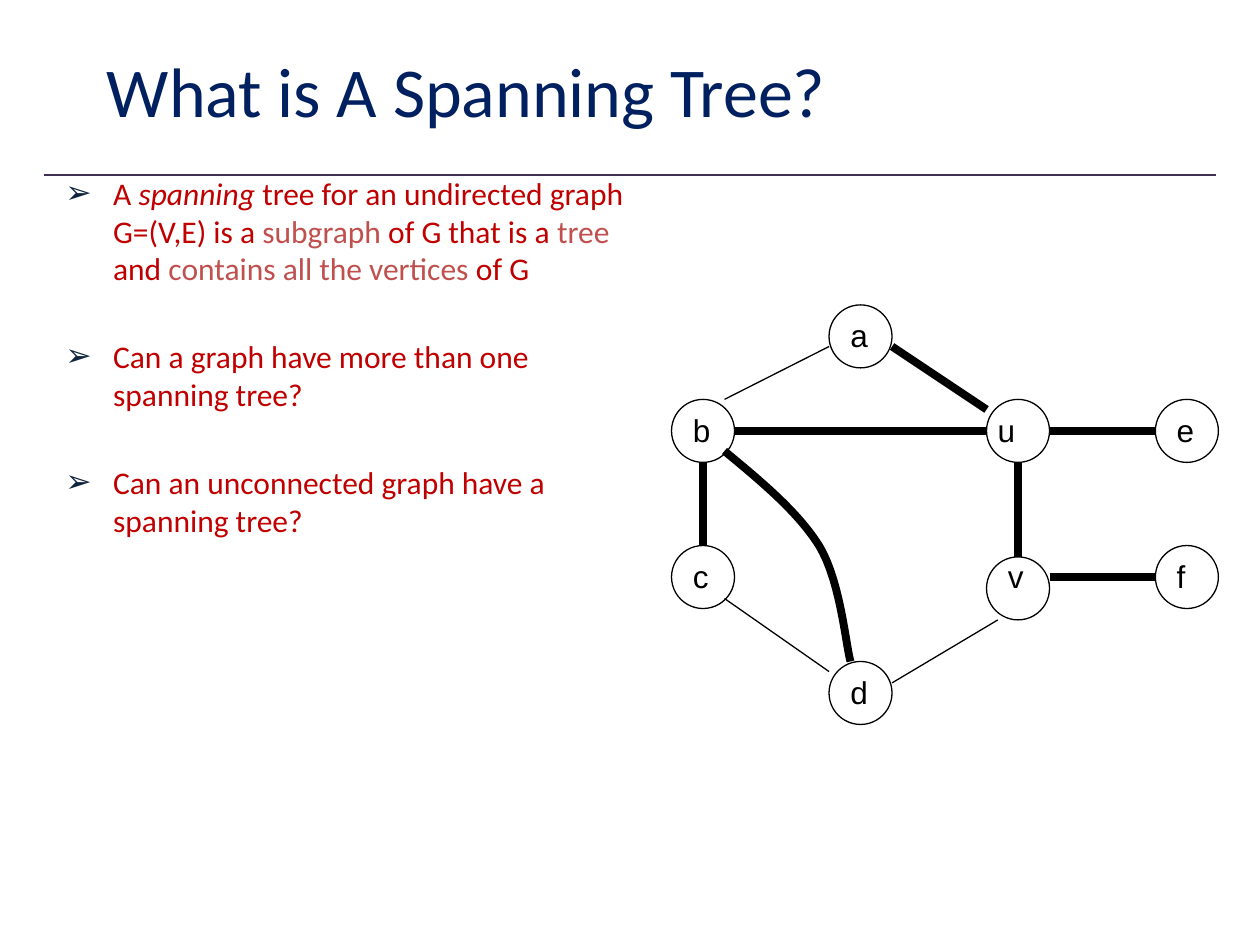
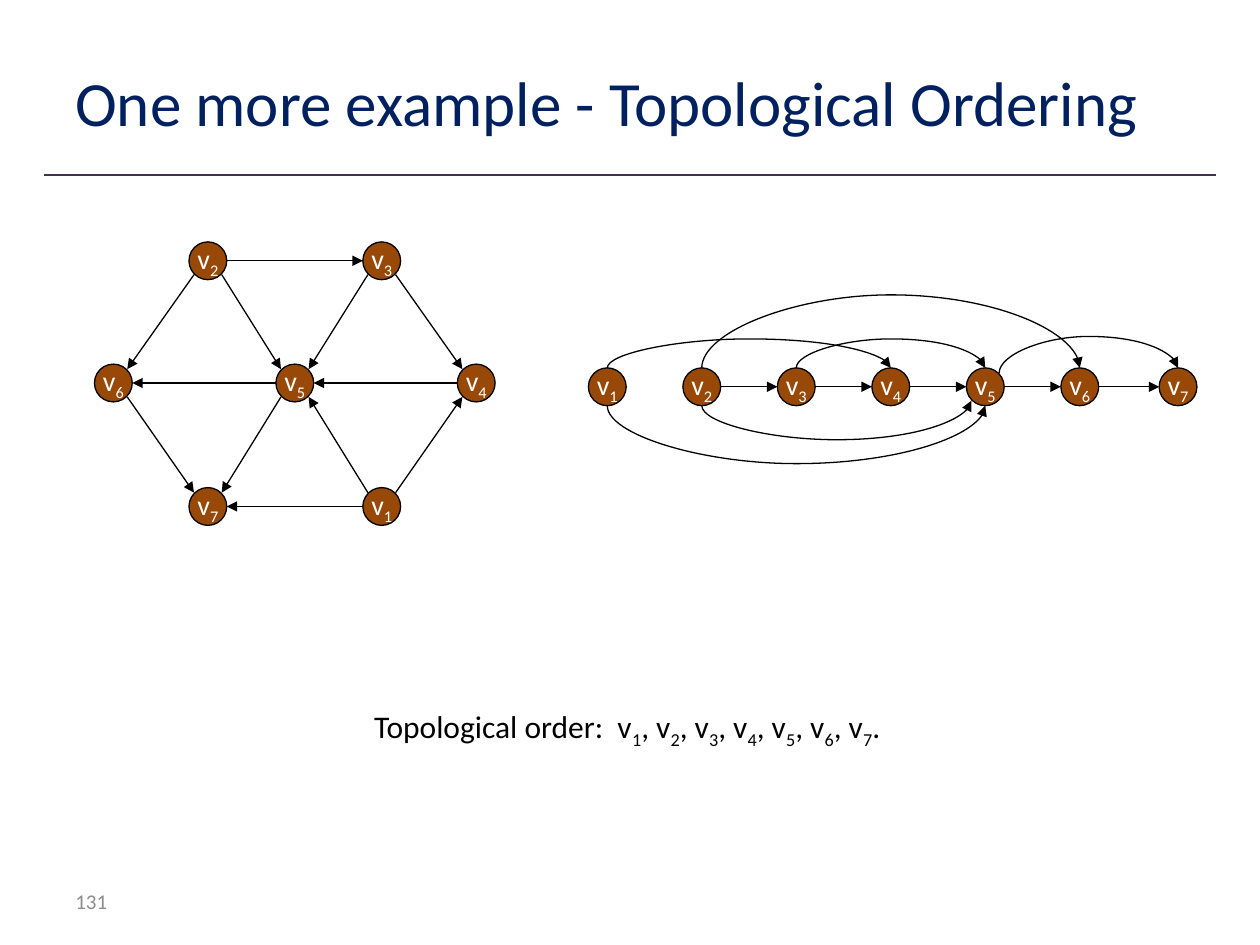
from lxml.etree import SubElement
from pptx import Presentation
from pptx.dml.color import RGBColor
from pptx.enum.shapes import MSO_CONNECTOR, MSO_SHAPE
from pptx.enum.text import MSO_ANCHOR, MSO_AUTO_SIZE, PP_ALIGN
from pptx.oxml.ns import qn
from pptx.util import Inches, Pt

COLORS = {
    "title": "002060", "rule": "403152", "ink": "000000", "body": "C00000",
    "accent": "C0504D", "bullet": "0F243E", "node": "984807",
    "node_text": "FFFFFF", "number": "8C8C8C",
}
RADIUS = 0.15
CORNER = 0.11


def rgb(name):
    """Return the named colour."""
    return RGBColor.from_string(COLORS[name])


def style_run(run, size, color, font="Calibri", italic=False, subscript=False):
    """Format one run."""
    run.font.size = Pt(size)
    run.font.name = font
    run.font.color.rgb = rgb(color)
    if italic:
        run.font.italic = True
    if subscript:
        run.font._element.set("baseline", "-25000")


def add_label(slide, text, box, size, color, font="Calibri", anchor=MSO_ANCHOR.TOP, wrap=True):
    """Add a text box and return its frame."""
    frame = slide.shapes.add_textbox(*map(Inches, box)).text_frame
    frame.word_wrap = wrap
    if not wrap:
        frame.auto_size = MSO_AUTO_SIZE.SHAPE_TO_FIT_TEXT
    frame.vertical_anchor = anchor
    frame.text = text
    for run in frame.paragraphs[0].runs:
        style_run(run, size, color, font)
    return frame


def add_vertex_names(paragraph, parts, size, color):
    """Write parts in which every second one is a subscript."""
    for position, part in enumerate(parts):
        run = paragraph.add_run()
        run.text = part
        style_run(run, size, color, subscript=position % 2 == 1)


def style_stroke(stroke, width, color="ink", arrow=False):
    """Set line width and colour, without a shadow."""
    stroke.line.width = Pt(width)
    stroke.line.color.rgb = rgb(color)
    if arrow:
        SubElement(stroke.line._get_or_add_ln(), qn("a:tailEnd"), type="triangle")
    SubElement(stroke._element.spPr, qn("a:effectLst"))


def add_edge(slide, start, end, width=0.75, color="ink", arrow=False):
    """Draw a straight edge."""
    edge = slide.shapes.add_connector(
        MSO_CONNECTOR.STRAIGHT, *map(Inches, (*start, *end)))
    style_stroke(edge, width, color, arrow)


def add_curve(slide, points, width=0.75, arrow=False):
    """Draw cubic curves through a start point and triples of points."""
    start, *rest = [(Inches(x), Inches(y)) for x, y in points]
    builder = slide.shapes.build_freeform(*start)
    builder.add_line_segments(rest, close=False)
    curve = builder.convert_to_shape()
    curve.fill.background()
    outline = next(curve._element.iter(qn("a:path")))
    steps = outline.findall(qn("a:lnTo"))
    for first in range(0, len(steps), 3):
        cubic = SubElement(outline, qn("a:cubicBezTo"))
        for step in steps[first:first + 3]:
            cubic.append(step[0])
            outline.remove(step)
    style_stroke(curve, width, arrow=arrow)


def add_circle(slide, center, radius, fill=None):
    """Draw a vertex around its centre."""
    x, y = center
    circle = slide.shapes.add_shape(
        MSO_SHAPE.OVAL, *map(Inches, (x - radius, y - radius, 2 * radius, 2 * radius)))
    if fill:
        circle.fill.solid()
        circle.fill.fore_color.rgb = rgb(fill)
    else:
        circle.fill.background()
    circle.line.color.rgb = rgb("ink")
    circle.line.width = Pt(0.75)
    circle.shadow.inherit = False
    return circle


def add_vertex(slide, number, center):
    """Draw a filled vertex with its numbered name."""
    frame = add_circle(slide, center, RADIUS, "node").text_frame
    frame.word_wrap = False
    frame.vertical_anchor = MSO_ANCHOR.MIDDLE
    frame.paragraphs[0].alignment = PP_ALIGN.CENTER
    add_vertex_names(frame.paragraphs[0], ["v", str(number)], 16, "node_text")


def new_slide(deck, title, box, size):
    """Add a slide with its rule and title."""
    slide = deck.slides.add_slide(deck.slide_layouts[6])
    add_edge(slide, (0.35, 1.39), (9.65, 1.39), 1, "rule")
    add_label(slide, title, box, size, "title", anchor=MSO_ANCHOR.MIDDLE)
    return slide


def add_questions(slide, box):
    """Write the bulleted definition and questions."""
    bullets = [
        [("A ", "body"), ("spanning", "body"),
         (" tree for an undirected graph G=(V,E) is a ", "body"), ("subgraph", "accent"),
         (" of G that is a ", "body"), ("tree", "accent"), (" and ", "body"),
         ("contains all the vertices", "accent"), (" of G", "body")],
        [("Can a graph have more than one spanning tree?", "body")],
        [("Can an unconnected graph have a spanning tree?", "body")],
    ]
    frame = add_label(slide, "", box, 18, "body")
    for position, parts in enumerate(bullets):
        paragraph = frame.add_paragraph() if position else frame.paragraphs[0]
        paragraph.space_before = Pt(28.6 if position else 3.6)
        props = paragraph._p.get_or_add_pPr()
        props.set("marL", str(Inches(0.38)))
        props.set("indent", str(-Inches(0.38)))
        SubElement(SubElement(props, qn("a:buClr")), qn("a:srgbClr"), val=COLORS["bullet"])
        SubElement(props, qn("a:buFont"), typeface="Arial")
        SubElement(props, qn("a:buChar"), char="➢")
        for text, color in parts:
            run = paragraph.add_run()
            run.text = text
            style_run(run, 18, color, italic=text == "spanning")


def add_spanning_tree(slide, left, top):
    """Draw the graph with its spanning tree in thick edges."""
    corners = {
        "b": (0, 0.75), "c": (0, 1.91), "a": (1.25, 0), "u": (2.5, 0.75),
        "d": (1.25, 2.83), "v": (2.5, 2), "e": (3.84, 0.75), "f": (3.84, 1.91),
    }
    tree_edges = [
        ((0.25, 1.25), (0.25, 1.91)), ((1.75, 0.33), (2.5, 0.83)),
        ((2.75, 1.25), (2.75, 2)), ((0.5, 1), (2.5, 1)),
        ((3, 1), (3.84, 1)), ((3, 2.16), (3.84, 2.16)),
    ]
    other_edges = [
        ((0.42, 0.75), (1.25, 0.33)), ((0.42, 2.33), (1.25, 2.91)),
        ((1.75, 3), (2.59, 2.5)),
    ]
    curve_b_d = [(0.42, 1.16), (0.71, 1.4), (1, 1.64), (1.17, 1.91),
                 (1.34, 2.19), (1.38, 2.68), (1.42, 2.83)]
    label_shifts = {"u": (-0.01, 0.04), "v": (0.07, -0.05)}

    def place(point):
        return left + point[0], top + point[1]

    for x, y in corners.values():
        add_circle(slide, place((x + 0.25, y + 0.25)), 0.25)
    for edges, width in ((tree_edges, 4.5), (other_edges, 0.75)):
        for start, end in edges:
            add_edge(slide, place(start), place(end), width)
    add_curve(slide, [place(point) for point in curve_b_d], 4.5)
    for name, (x, y) in corners.items():
        dx, dy = label_shifts.get(name, (0.07, 0.04))
        width = 0.27 if name == "f" else 0.34
        add_label(slide, name, (*place((x + dx, y + dy)), width, 0.4), 18, "ink",
                  "Arial", wrap=False)


def add_directed_graph(slide, left, top):
    """Draw the hexagonal graph with arrows between vertex rims."""
    centers = {
        number: (left + x, top + y) for number, (x, y) in {
            2: (0.9, 0.15), 3: (2.28, 0.15), 6: (0.15, 1.12), 5: (1.59, 1.12),
            4: (3.03, 1.12), 7: (0.9, 2.1), 1: (2.28, 2.1)}.items()
    }
    edges = [(2, 6), (2, 5), (2, 3), (3, 4), (4, 5), (1, 4),
             (5, 7), (1, 5), (1, 7), (6, 7), (5, 6), (3, 5)]
    for number, center in centers.items():
        add_vertex(slide, number, center)
    for source, target in edges:
        (x0, y0), (x1, y1) = centers[source], centers[target]
        level = y0 == y1
        dx = (RADIUS if level else CORNER) * (1 if x1 > x0 else -1)
        dy = 0 if level else CORNER * (1 if y1 > y0 else -1)
        add_edge(slide, (x0 + dx, y0 + dy), (x1 - dx, y1 - dy), arrow=True)


def add_arc(slide, start, end, peak):
    """Draw an arched arrow which turns level at the peak height."""
    (x0, y0), (x1, y1) = start, end
    quarter = (x1 - x0) / 4
    add_curve(slide, [
        start, (x0, (y0 + peak) / 2), (x0 + quarter, peak), (x0 + 2 * quarter, peak),
        (x1 - quarter, peak), (x1, (y1 + peak) / 2), end], arrow=True)


def add_ordered_chain(slide, left, middle):
    """Draw the vertices in topological order with arrows and arcs."""
    xs = {number: left + RADIUS + 0.75 * (number - 1) for number in range(1, 7)}
    xs[7] = left + 4.68
    arcs = [(3, 5, -0.38, 0, 0), (2, 5, 0.42, 0, -CORNER), (1, 5, 0.61, 0, 0),
            (1, 4, -0.38, 0, 0), (5, 7, -0.4, CORNER, 0), (2, 6, -0.73, 0, 0)]
    for number, x in xs.items():
        add_vertex(slide, number, (x, middle))
    for number in range(2, 7):
        add_edge(slide, (xs[number] + RADIUS, middle),
                 (xs[number + 1] - RADIUS, middle), arrow=True)
    for source, target, height, start_shift, end_shift in arcs:
        side = 1 if height > 0 else -1
        start, end = [
            (xs[number] + shift, middle + side * (CORNER if shift else RADIUS))
            for number, shift in ((source, start_shift), (target, end_shift))]
        add_arc(slide, start, end, middle + height)


def add_order_text(slide, box):
    """Write the topological order."""
    parts = ["Topological order:  v"]
    for number in range(1, 8):
        parts += [str(number), ", v" if number < 7 else "."]
    frame = add_label(slide, "", box, 18, "ink", wrap=False)
    add_vertex_names(frame.paragraphs[0], parts, 18, "ink")


def build_spanning_tree_slide(deck):
    """Build the spanning tree slide."""
    slide = new_slide(deck, "What is A Spanning Tree?", (0.75, 0.25, 8.5, 0.92), 40)
    add_spanning_tree(slide, 5.33, 2.42)
    add_questions(slide, (0.42, 1.33, 4.67, 5.33))


def build_ordering_slide(deck):
    """Build the topological ordering slide."""
    slide = new_slide(deck, "One more example - Topological Ordering",
                      (0.5, 0.3, 9, 1.01), 36)
    add_label(slide, "131", (0.5, 6.95, 2.33, 0.4), 12, "number",
              anchor=MSO_ANCHOR.MIDDLE)
    add_order_text(slide, (2.87, 5.56, 4.91, 0.45))
    add_directed_graph(slide, 0.75, 1.92)
    add_ordered_chain(slide, 4.67, 3.07)


def main():
    """Build and save the deck."""
    deck = Presentation()
    deck.slide_width, deck.slide_height = Inches(10), Inches(7.5)
    build_spanning_tree_slide(deck)
    build_ordering_slide(deck)
    deck.save("out.pptx")


if __name__ == "__main__":
    main()
